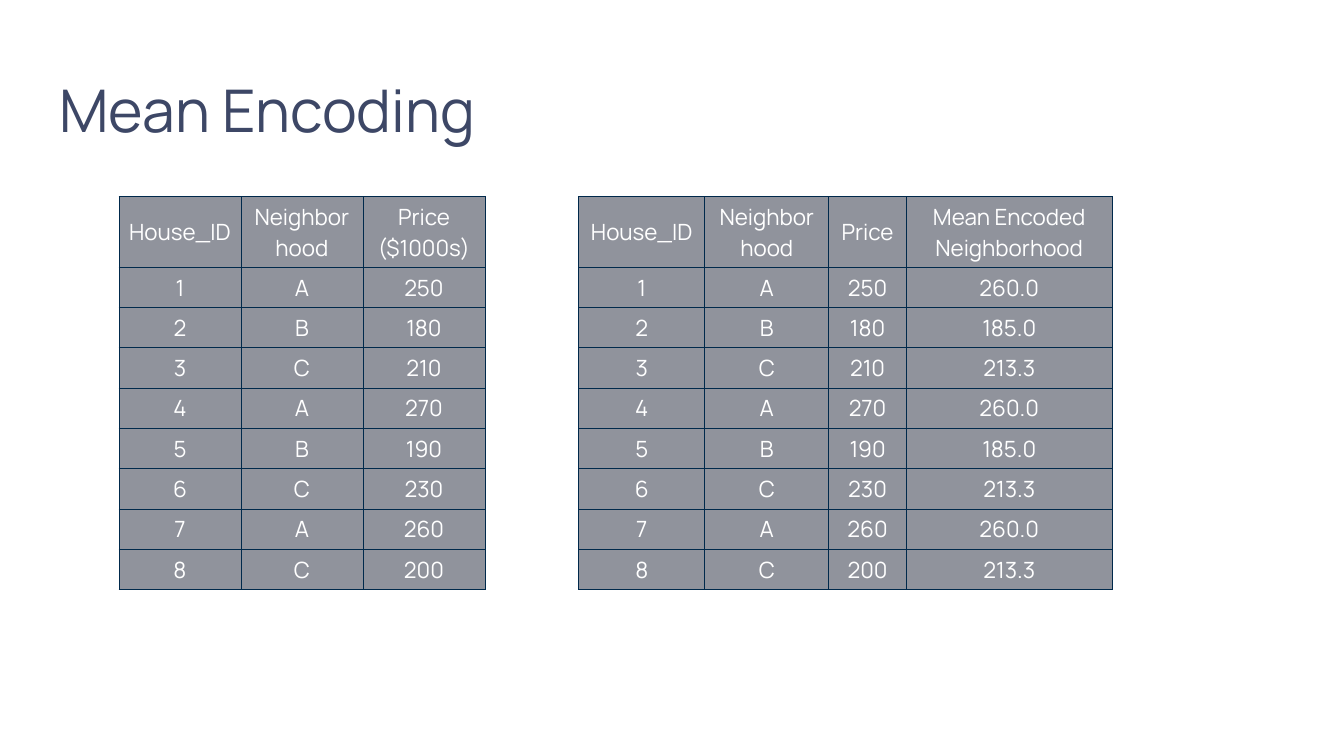
from lxml.etree import SubElement
from pptx import Presentation
from pptx.dml.color import RGBColor
from pptx.enum.text import MSO_ANCHOR, PP_ALIGN
from pptx.oxml.ns import qn
from pptx.util import Inches, Pt

FONT = "Manrope"
COLORS = {"title": "3D4766", "cell": "90939C", "text": "FFFFFF", "line": "00294B"}
TOP, HEAD, ROW = 1.95, 0.7, 0.4

homes = [(1, "A", 250), (2, "B", 180), (3, "C", 210), (4, "A", 270),
         (5, "B", 190), (6, "C", 230), (7, "A", 260), (8, "C", 200)]

# Mean price of each neighborhood
groups = {}
for house, area, price in homes:
    groups.setdefault(area, []).append(price)
means = {area: sum(costs) / len(costs) for area, costs in groups.items()}

tables = [
    (1.18, [1.21, 1.21, 1.21],
     [("House_ID", "Neighborhood", "Price ($1000s)"), *homes]),
    (5.74, [1.25, 1.23, 0.77, 2.04],
     [("House_ID", "Neighborhood", "Price", "Mean Encoded Neighborhood"),
      *[(*home, f"{means[home[1]]:.1f}") for home in homes]]),
]


def style(para, size, color):
    para.font.name = FONT
    para.font.size = Pt(size)
    para.font.color.rgb = RGBColor.from_string(COLORS[color])


def border(cell):
    props = cell._tc.get_or_add_tcPr()
    for side in ("lnL", "lnR", "lnT", "lnB"):
        line = SubElement(props, qn(f"a:{side}"), w=str(Pt(0.5)))
        fill = SubElement(line, qn("a:solidFill"))
        SubElement(fill, qn("a:srgbClr"), val=COLORS["line"])


deck = Presentation()
deck.slide_width, deck.slide_height = Inches(13.33), Inches(7.5)
slide = deck.slides.add_slide(deck.slide_layouts[6])

# Title
title = slide.shapes.add_textbox(Inches(0.59), Inches(0.4), Inches(12.12), Inches(1.45))
frame = title.text_frame
frame.word_wrap = True
frame.margin_left = 0
frame.vertical_anchor = MSO_ANCHOR.MIDDLE
para = frame.paragraphs[0]
para.text = "Mean Encoding"
para.line_spacing = 0.9
style(para, 42, "title")

# Tables
for left, widths, rows in tables:
    high = HEAD + ROW * len(homes)
    shape = slide.shapes.add_table(len(rows), len(widths), Inches(left), Inches(TOP),
                                   Inches(sum(widths)), Inches(high))
    table = shape.table
    table.first_row = table.horz_banding = False
    for col, width in zip(table.columns, widths):
        col.width = Inches(width)
    for i, row in enumerate(rows):
        table.rows[i].height = Inches(ROW if i else HEAD)
        for j, value in enumerate(row):
            cell = table.cell(i, j)
            cell.vertical_anchor = MSO_ANCHOR.MIDDLE
            border(cell)
            cell.fill.solid()
            cell.fill.fore_color.rgb = RGBColor.from_string(COLORS["cell"])
            para = cell.text_frame.paragraphs[0]
            para.text = str(value)
            para.alignment = PP_ALIGN.CENTER
            style(para, 16, "text")

deck.save("out.pptx")
